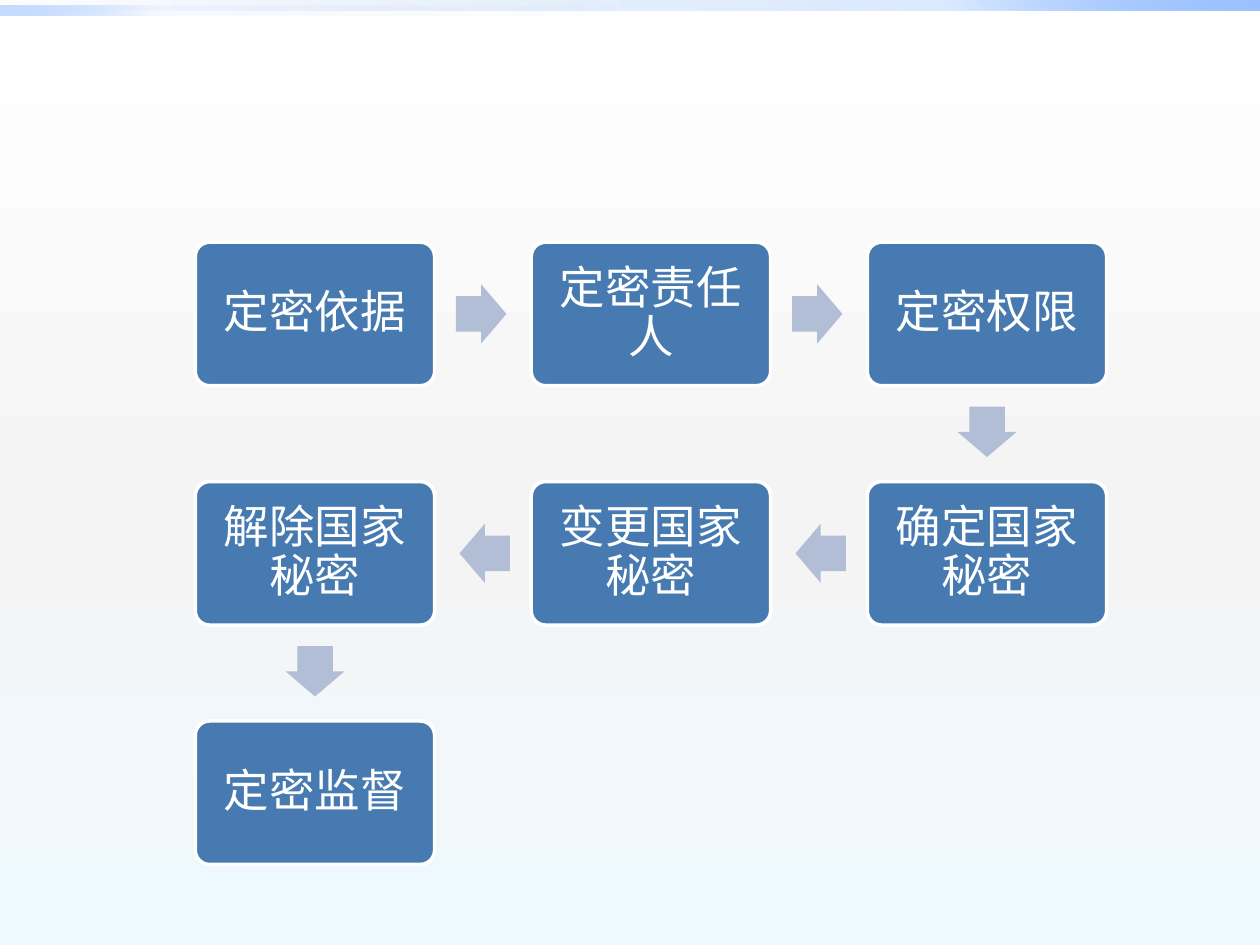
from dataclasses import dataclass
from typing import NamedTuple

from lxml.etree import SubElement
from pptx import Presentation
from pptx.dml.color import RGBColor
from pptx.enum.shapes import MSO_SHAPE as Shape
from pptx.enum.text import MSO_ANCHOR as Anchor, PP_ALIGN as Align
from pptx.oxml.ns import qn
from pptx.util import Pt

BLUE, PALE, WHITE = "477AB1", "B1BED5", "FFFFFF"
LEFT, TOP = 111.6, 138.4
BOX_W, BOX_H = 136.8, 82
PITCH_X, PITCH_Y = 192, 136.8
ARROW_W, ARROW_H = 28.8, 33.8
ARROW_BACKSET = 1
FONT = {"name": "Cambria", "size": Pt(26)}
PARA = {"alignment": Align.CENTER, "line_spacing": 0.9}
FRAME = {"word_wrap": True, "vertical_anchor": Anchor.MIDDLE,
         "margin_left": Pt(8), "margin_right": Pt(8),
         "margin_top": Pt(8), "margin_bottom": Pt(8)}


class Stop(NamedTuple):
    position: int
    color: str
    opacity: int = 100


@dataclass
class Bar:
    top: float
    width: float
    angle: int
    stops: list[Stop]


@dataclass
class Step:
    text: str
    column: int
    row: int

    @property
    def center(self) -> tuple[float, float]:
        return (LEFT + self.column * PITCH_X + BOX_W / 2,
                TOP + self.row * PITCH_Y + BOX_H / 2)


BACKGROUND = [Stop(0, WHITE), Stop(55, "F4F4F4"), Stop(100, "EEF9FF")]
BARS = [
    Bar(0, 720, 315, [Stop(0, "0058B7", 0), Stop(75, "4F95FF", 20), Stop(100, "9EC2FF")]),
    Bar(3, 360, 135, [Stop(0, "0058B7", 0), Stop(75, "4F95FF", 5), Stop(100, "9EC2FF", 60)]),
]
STEPS = [
    Step("定密依据", 0, 0), Step("定密责任人", 1, 0), Step("定密权限", 2, 0),
    Step("确定国家秘密", 2, 1), Step("变更国家秘密", 1, 1), Step("解除国家秘密", 0, 1),
    Step("定密监督", 0, 2),
]


def rgb(color: str) -> RGBColor:
    return RGBColor.from_string(color)


def apply(target, values: dict) -> None:
    for name, value in values.items():
        setattr(target, name, value)


def fill_gradient(fill, element, stops: list[Stop], angle: int) -> None:
    """Fill with any number of stops; the angle runs clockwise."""
    fill.gradient()
    fill.gradient_angle = 360 - angle
    stop_list = next(element.iter(qn("a:gsLst")))
    stop_list.clear()
    for stop in stops:
        node = SubElement(stop_list, qn("a:gs"), pos=str(stop.position * 1000))
        color = SubElement(node, qn("a:srgbClr"), val=stop.color)
        if stop.opacity < 100:
            SubElement(color, qn("a:alpha"), val=str(stop.opacity * 1000))


def add_shape(page, kind, left: float, top: float, width: float, height: float):
    shape = page.shapes.add_shape(kind, Pt(left), Pt(top), Pt(width), Pt(height))
    shape.shadow.inherit = False
    shape.line.fill.background()
    return shape


def add_bar(page, bar: Bar) -> None:
    shape = add_shape(page, Shape.RECTANGLE, 0, bar.top, bar.width, 5.8)
    fill_gradient(shape.fill, shape.element, bar.stops, bar.angle)


def add_step(page, step: Step) -> None:
    x, y = step.center
    box = add_shape(page, Shape.ROUNDED_RECTANGLE,
                    x - BOX_W / 2, y - BOX_H / 2, BOX_W, BOX_H)
    box.adjustments[0] = 0.1
    box.fill.solid()
    box.fill.fore_color.rgb = rgb(BLUE)
    box.line.color.rgb = rgb(WHITE)
    box.line.width = Pt(2)
    apply(box.text_frame, FRAME)
    para = box.text_frame.paragraphs[0]
    apply(para, PARA)
    span = para.add_run()
    span.text = step.text
    apply(span.font, FONT)
    span.font.color.rgb = rgb(WHITE)


def add_arrow(page, start: Step, end: Step) -> None:
    (x1, y1), (x2, y2) = start.center, end.center
    across, down = end.column - start.column, end.row - start.row
    x = (x1 + x2) / 2 - across * ARROW_BACKSET
    y = (y1 + y2) / 2 - down * ARROW_BACKSET
    arrow = add_shape(page, Shape.RIGHT_ARROW,
                      x - ARROW_W / 2, y - ARROW_H / 2, ARROW_W, ARROW_H)
    arrow.rotation = 90 if down else 90 - 90 * across
    arrow.adjustments[0], arrow.adjustments[1] = 0.6, 0.5
    arrow.fill.solid()
    arrow.fill.fore_color.rgb = rgb(PALE)


deck = Presentation()
deck.slide_width, deck.slide_height = Pt(720), Pt(540)
page = deck.slides.add_slide(deck.slide_layouts[6])

# Background and top bars
fill_gradient(page.background.fill, page.element, BACKGROUND, 90)
for bar in BARS:
    add_bar(page, bar)

# Winding process of steps and arrows
for step in STEPS:
    add_step(page, step)
for start, end in zip(STEPS, STEPS[1:]):
    add_arrow(page, start, end)

deck.save("out.pptx")
